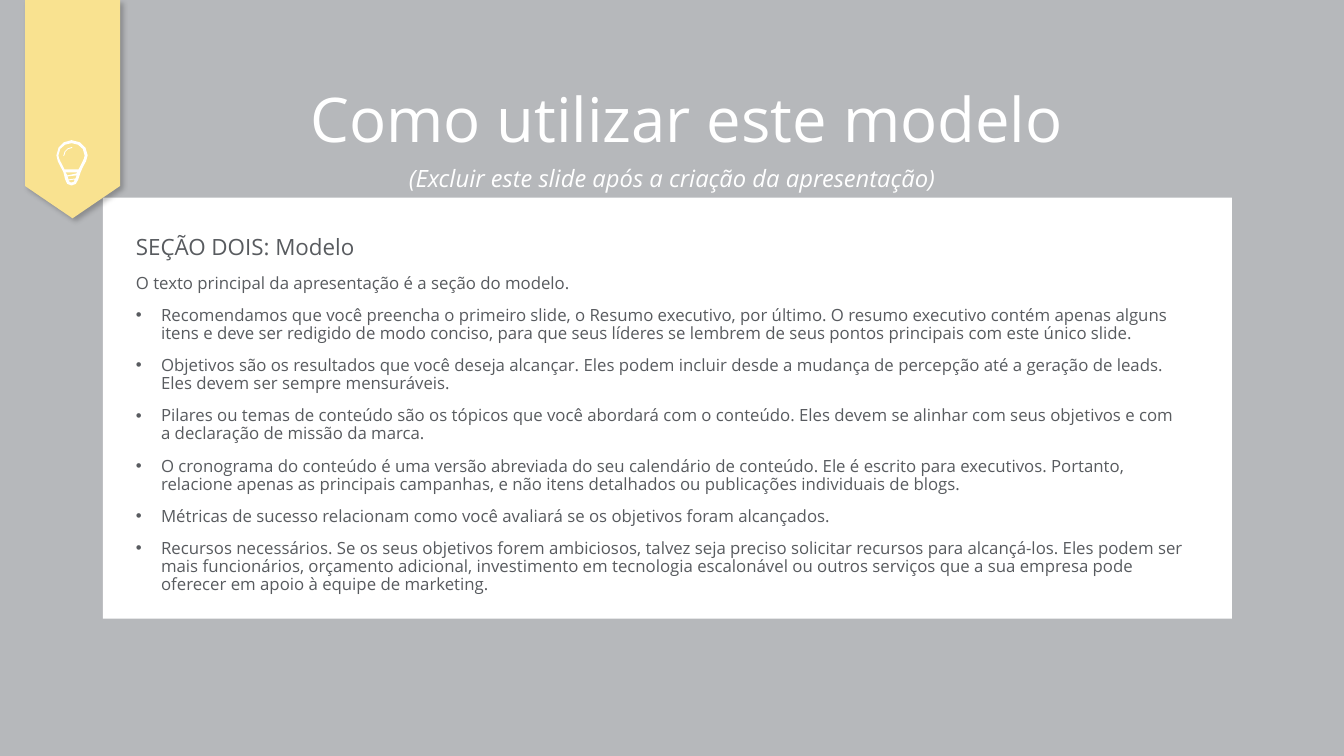
from lxml import etree
from pptx import Presentation
from pptx.dml.color import RGBColor
from pptx.enum.shapes import MSO_SHAPE
from pptx.enum.text import MSO_ANCHOR, PP_ALIGN
from pptx.oxml.ns import qn
from pptx.util import Pt

RECTANGLE, PENTAGON = MSO_SHAPE.RECTANGLE, MSO_SHAPE.PENTAGON
TOP, MIDDLE = MSO_ANCHOR.TOP, MSO_ANCHOR.MIDDLE
LEFT, CENTER = PP_ALIGN.LEFT, PP_ALIGN.CENTER

FONT = "Open Sans"
GRAY, WHITE, YELLOW, INK = "B6B8BB", "FFFFFF", "F9E290", "585B5F"

TITLE = "Como utilizar este modelo"
SUBTITLE = "(Excluir este slide após a criação da apresentação)"
HEADING = "SEÇÃO DOIS: Modelo"
INTRO = "O texto principal da apresentação é a seção do modelo."
BULLETS = [
    "Recomendamos que você preencha o primeiro slide, o Resumo executivo, por último. "
    "O resumo executivo contém apenas alguns itens e deve ser redigido de modo conciso, "
    "para que seus líderes se lembrem de seus pontos principais com este único slide.",
    "Objetivos são os resultados que você deseja alcançar. Eles podem incluir desde a "
    "mudança de percepção até a geração de leads. Eles devem ser sempre mensuráveis.",
    "Pilares ou temas de conteúdo são os tópicos que você abordará com o conteúdo. Eles "
    "devem se alinhar com seus objetivos e com a declaração de missão da marca.",
    "O cronograma do conteúdo é uma versão abreviada do seu calendário de conteúdo. Ele é "
    "escrito para executivos. Portanto, relacione apenas as principais campanhas, e não "
    "itens detalhados ou publicações individuais de blogs.",
    "Métricas de sucesso relacionam como você avaliará se os objetivos foram alcançados.",
    "Recursos necessários. Se os seus objetivos forem ambiciosos, talvez seja preciso "
    "solicitar recursos para alcançá-los. Eles podem ser mais funcionários, orçamento "
    "adicional, investimento em tecnologia escalonável ou outros serviços que a sua "
    "empresa pode oferecer em apoio à equipe de marketing.",
]

# Icon contours in hundredths of an inch: a start point, then
# pairs for straight lines and sextuples for Bézier curves.
BULB = [
    [(71, 139), (63, 139, 56, 146, 56, 154), (56, 160, 61, 166, 63, 171),
     (65, 179, 65, 184, 71, 184), (77, 184, 77, 179, 80, 171),
     (81, 166, 87, 160, 87, 154), (87, 146, 80, 139, 71, 139)],
    [(75, 177), (68, 178), (67, 175), (76, 174)],
    [(67, 174), (65, 171), (77, 171), (76, 172)],
    [(71, 181), (70, 181, 69, 181, 68, 179), (74, 178), (74, 180, 73, 181, 71, 181)],
    [(78, 168), (64, 168), (62, 164), (60, 160, 58, 157, 58, 154),
     (58, 147, 64, 142, 71, 142), (78, 142, 84, 147, 84, 154),
     (84, 157, 82, 160, 80, 164)],
]
GLINT = [
    [(71, 146), (67, 146, 63, 150, 63, 154), (63, 155), (64, 154),
     (64, 150, 67, 147, 71, 147), (72, 146)],
]
ICON_UNIT = 0.72
CURVE_STEPS = 3


def color(value):
    return RGBColor.from_string(value)


def paint(shape, fill):
    shape.shadow.inherit = False
    shape.fill.solid()
    shape.fill.fore_color.rgb = color(fill)
    shape.line.fill.background()


def add_block(kind, left, top, width, height, fill):
    block = page.shapes.add_shape(kind, Pt(left), Pt(top), Pt(width), Pt(height))
    paint(block, fill)
    return block


def add_shadow(shape, blur, distance, angle, alpha):
    effects = shape.element.spPr.find(qn("a:effectLst"))
    shadow = etree.SubElement(effects, qn("a:outerShdw"), blurRad=str(Pt(blur)),
                              dist=str(Pt(distance)), dir=str(angle * 60000),
                              algn="tl", rotWithShape="0")
    tint = etree.SubElement(shadow, qn("a:srgbClr"), val="000000")
    etree.SubElement(tint, qn("a:alpha"), val=str(alpha * 1000))


def flatten(contour):
    """Turn a contour into plain points, sampling its curves."""
    points = [contour[0]]
    for segment in contour[1:]:
        if len(segment) == 2:
            points.append(segment)
            continue
        controls = [points[-1], segment[:2], segment[2:4], segment[4:]]
        for step in range(1, CURVE_STEPS + 1):
            t = step / CURVE_STEPS
            weights = ((1 - t) ** 3, 3 * t * (1 - t) ** 2, 3 * t * t * (1 - t), t ** 3)
            points.append(tuple(sum(w * point[axis] for w, point in zip(weights, controls))
                                for axis in (0, 1)))
    return [(Pt(x * ICON_UNIT), Pt(y * ICON_UNIT)) for x, y in points]


def add_icon(contours):
    first, *holes = [flatten(contour) for contour in contours]
    builder = page.shapes.build_freeform(*first[0])
    builder.add_line_segments(first[1:])
    for hole in holes:
        builder.move_to(*hole[0])
        builder.add_line_segments(hole[1:])
    paint(builder.convert_to_shape(), WHITE)


def add_text(left, top, width, height, anchor):
    box = page.shapes.add_textbox(Pt(left), Pt(top), Pt(width), Pt(height))
    box.text_frame.word_wrap = True
    box.text_frame.vertical_anchor = anchor
    return box.text_frame


def write(para, text, size, ink, spacing=0.9, align=LEFT, before=0, italic=False):
    para.text = text
    para.alignment = align
    para.line_spacing = spacing
    para.space_before = Pt(before)
    font = para.font
    font.name, font.size, font.italic = FONT, Pt(size), italic
    font.color.rgb = color(ink)


def add_bullet(para):
    props = para._p.get_or_add_pPr()
    props.set("marL", str(Pt(18)))
    props.set("indent", str(Pt(-18)))
    bullet_font = etree.Element(qn("a:buFont"), typeface="Arial")
    bullet = etree.Element(qn("a:buChar"), char="•")
    place = props.index(props.find(qn("a:defRPr")))
    props[place:place] = [bullet_font, bullet]


deck = Presentation()
deck.slide_width, deck.slide_height = Pt(960), Pt(540)
page = deck.slides.add_slide(deck.slide_layouts[6])
page.background.fill.solid()
page.background.fill.fore_color.rgb = color(GRAY)

add_block(RECTANGLE, 73.5, 141.2, 806.5, 300.8, WHITE)

title = add_text(149.8, 59, 682, 57.6, MIDDLE)
write(title.paragraphs[0], TITLE, 44, WHITE, align=CENTER)
subtitle = add_text(256.3, 116.6, 447.8, 24.5, MIDDLE)
write(subtitle.paragraphs[0], SUBTITLE, 17, WHITE, 0.8, CENTER, italic=True)

ribbon = add_block(PENTAGON, -26.2, 44, 156, 67.9, YELLOW)
ribbon.rotation = 90
ribbon.adjustments[0] = 0.34
add_shadow(ribbon, blur=4, distance=3, angle=45, alpha=24)
add_icon(BULB)
add_icon(GLINT)

body = add_text(90, 165.3, 765.4, 264.6, TOP)
write(body.paragraphs[0], HEADING, 16, INK)
write(body.add_paragraph(), INTRO, 12, INK, before=10)
for item in BULLETS:
    para = body.add_paragraph()
    write(para, item, 12, INK, before=10)
    add_bullet(para)

deck.save("out.pptx")
